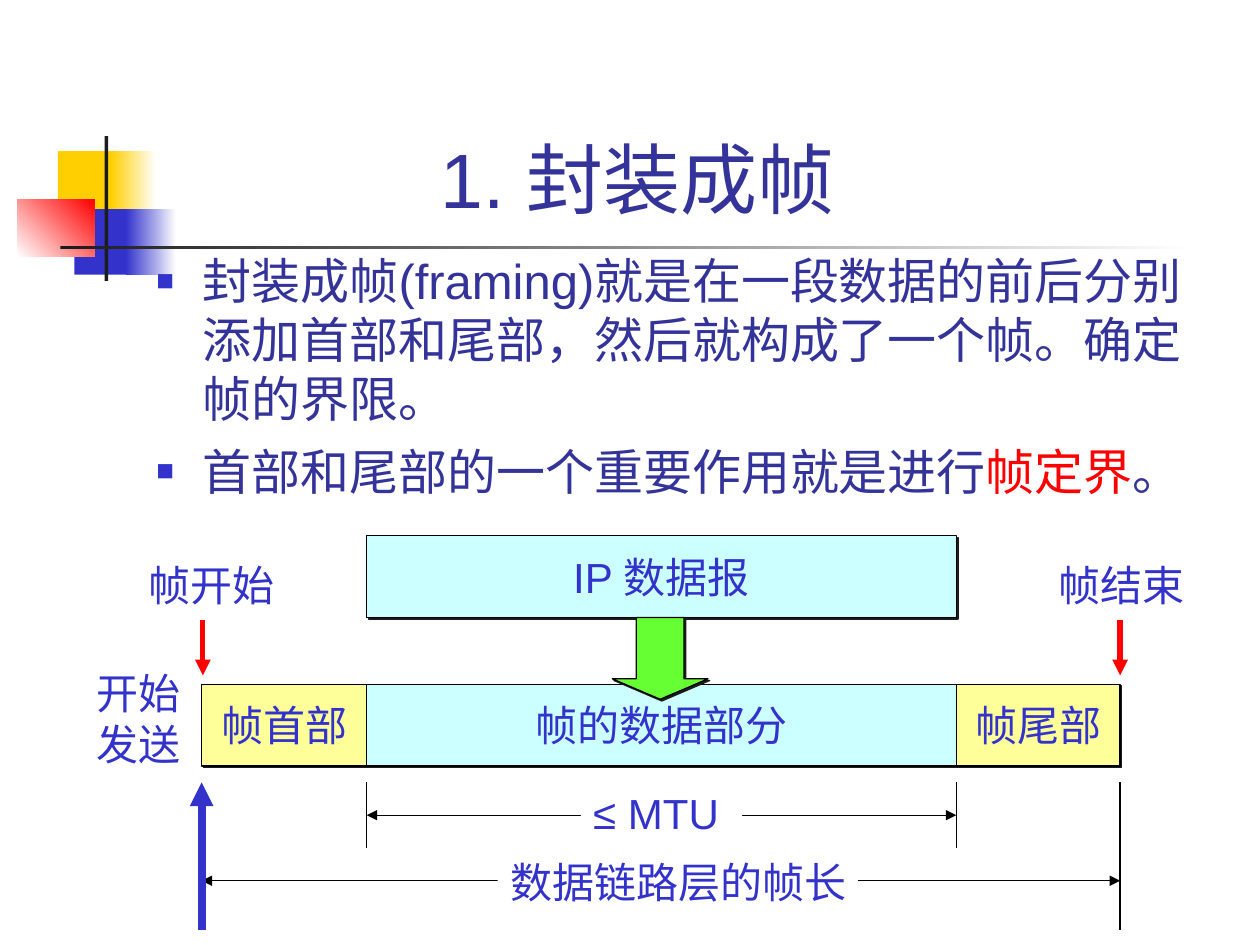
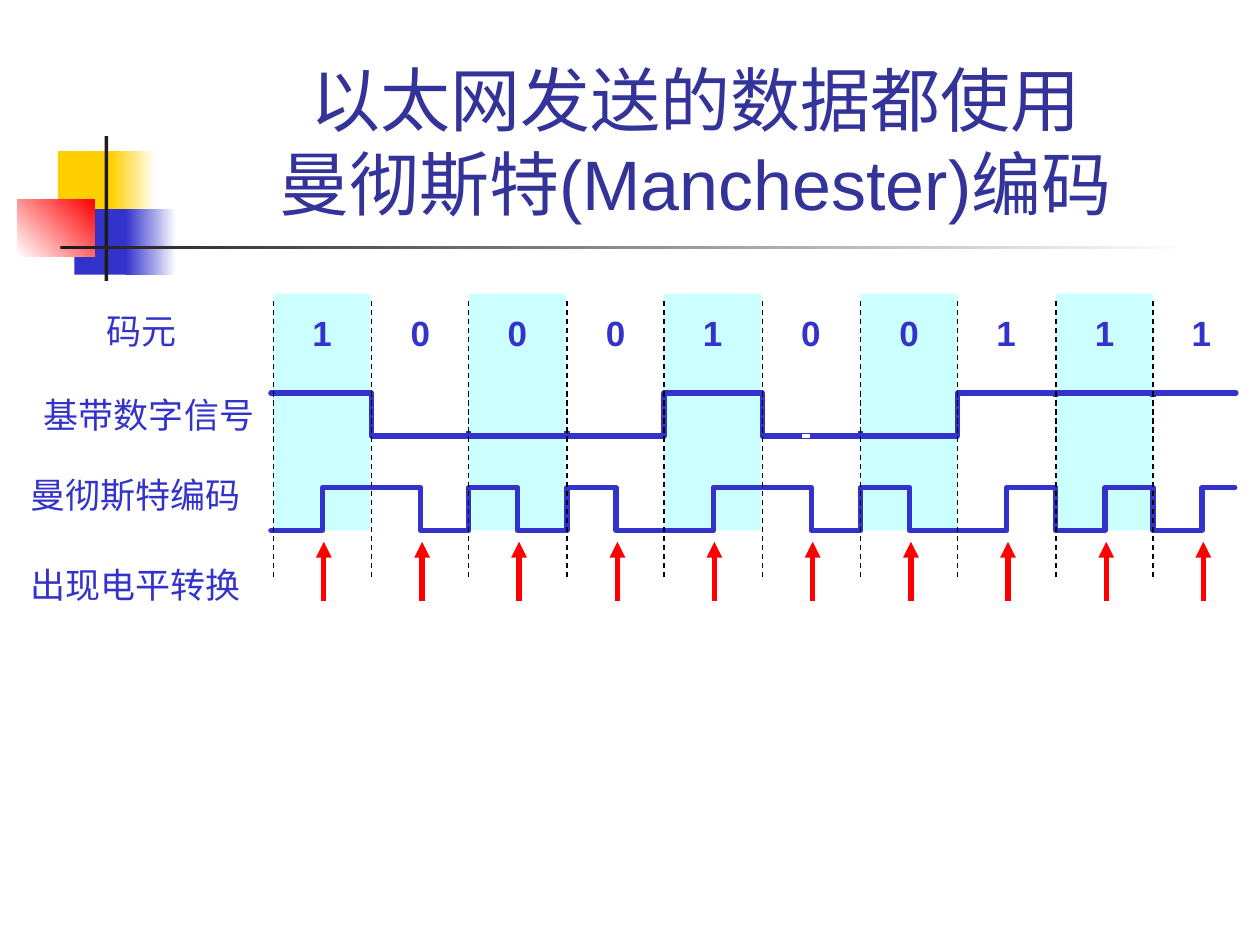
from dataclasses import dataclass
from typing import Optional

from lxml.etree import SubElement
from pptx import Presentation
from pptx.dml.color import RGBColor
from pptx.enum.dml import MSO_LINE
from pptx.enum.shapes import MSO_CONNECTOR, MSO_SHAPE
from pptx.enum.text import MSO_ANCHOR as ANCHOR, MSO_AUTO_SIZE as AUTO, PP_ALIGN as ALIGN
from pptx.oxml.ns import qn
from pptx.util import Emu, Pt

# Shared scale, font and colours
PX = 9144  # 100 px to the inch
FONT = "Arial"
NAVY, BLUE, RED, BLACK, WHITE = "333399", "3333CC", "FF0000", "000000", "FFFFFF"
GOLD, DARK, CYAN, YELLOW, GREEN = "FFCF01", "1C1C1C", "CCFFFF", "FFFF99", "66FF33"


@dataclass
class Box:
    x: int
    y: int
    w: int
    h: int
    fill: Optional[str] = None
    text: str = ""
    fade: Optional[str] = None  # second gradient colour
    angle: int = 0
    border: Optional[str] = None
    framed: bool = False  # black border, hard shadow, centred text
    kind: MSO_SHAPE = MSO_SHAPE.RECTANGLE


@dataclass
class Line:
    x1: int
    y1: int
    x2: int
    y2: int
    color: str = BLACK
    width: float = 0.75
    head: bool = False
    tail: bool = False
    dashed: bool = False


# Master decoration: coloured squares and the crossed bars
DECOR = [
    Box(46, 120, 48, 52, GOLD),
    Box(88, 120, 36, 52, GOLD, fade=WHITE),
    Box(59, 166, 46, 52, BLUE),
    Box(100, 166, 40, 52, BLUE, fade=WHITE),
    Box(14, 158, 61, 46, WHITE, fade=RED, angle=45),
    Box(83, 108, 3, 115, DARK),
    Box(48, 195, 900, 3, DARK, fade=WHITE),
]


def px(n: float) -> Emu:
    return Emu(round(n * PX))


def rgb(value: str) -> RGBColor:
    return RGBColor.from_string(value)


def set_font(font, color: str, **fmt) -> None:
    for key, value in {"name": FONT, **fmt}.items():
        setattr(font, key, value)
    font.color.rgb = rgb(color)


def set_text(tf, text: str, size: int, align=ALIGN.LEFT, anchor=ANCHOR.TOP, bold=False) -> None:
    tf.text = text
    for key, value in {"word_wrap": False, "vertical_anchor": anchor}.items():
        setattr(tf, key, value)
    for p in tf.paragraphs:
        p.alignment = align
        for r in p.runs:
            set_font(r.font, BLUE, size=Pt(size), bold=bold)


def add_shadow(sp) -> None:
    effects = sp.element.spPr.find(qn("a:effectLst"))
    shadow = SubElement(effects, qn("a:outerShdw"), dist="17780", dir="2700000",
                        algn="ctr", rotWithShape="0")
    SubElement(shadow, qn("a:srgbClr"), val=DARK)


def add_box(slide, box: Box):
    sp = slide.shapes.add_shape(box.kind, px(box.x), px(box.y), px(box.w), px(box.h))
    sp.shadow.inherit = False
    if box.fade:
        sp.fill.gradient()
        sp.fill.gradient_angle = box.angle
        for stop, color in zip(sp.fill.gradient_stops, (box.fill, box.fade)):
            stop.color.rgb = rgb(color)
    else:
        sp.fill.solid()
        sp.fill.fore_color.rgb = rgb(box.fill)
    border = BLACK if box.framed else box.border
    if border:
        sp.line.color.rgb = rgb(border)
        sp.line.width = Pt(0.75)
    else:
        sp.line.fill.background()
    if box.framed:
        add_shadow(sp)
    if box.text:
        align, anchor = (ALIGN.CENTER, ANCHOR.MIDDLE) if box.framed else (ALIGN.LEFT, ANCHOR.TOP)
        set_text(sp.text_frame, box.text, 24, align, anchor)
    return sp


def add_line(slide, line: Line) -> None:
    cn = slide.shapes.add_connector(MSO_CONNECTOR.STRAIGHT, px(line.x1), px(line.y1),
                                    px(line.x2), px(line.y2))
    cn.line.color.rgb = rgb(line.color)
    cn.line.width = Pt(line.width)
    if line.dashed:
        cn.line.dash_style = MSO_LINE.DASH
    ln = cn.line._get_or_add_ln()
    for tag, wanted in (("a:headEnd", line.head), ("a:tailEnd", line.tail)):
        if wanted:
            SubElement(ln, qn(tag), type="triangle")
    SubElement(cn.element.spPr, qn("a:effectLst"))


def add_label(slide, x: int, y: int, w: int, text: str, bold: bool = False) -> None:
    sp = slide.shapes.add_textbox(px(x), px(y), px(w), px(43))
    set_text(sp.text_frame, text, 20, bold=bold)


def add_signal(slide, points: list[tuple[int, int]]) -> None:
    start, *rest = [(px(x), px(y)) for x, y in points]
    builder = slide.shapes.build_freeform(*start)
    builder.add_line_segments(rest, close=False)
    sp = builder.convert_to_shape()
    sp.shadow.inherit = False
    sp.fill.background()
    sp.line.color.rgb = rgb(BLUE)
    sp.line.width = Pt(3)
    ln = sp.line._get_or_add_ln()
    ln.set("cap", "rnd")
    SubElement(ln, qn("a:round"))


def place(sp, x: int, y: int, w: int, h: int) -> None:
    for key, value in {"left": x, "top": y, "width": w, "height": h}.items():
        setattr(sp, key, px(value))


def set_title(slide, text: str, size: int, width: int) -> None:
    sp = slide.shapes.title
    place(sp, 126, 23, width, 160)
    tf = sp.text_frame
    tf.text = text
    for key, value in {"auto_size": AUTO.NONE, "vertical_anchor": ANCHOR.BOTTOM}.items():
        setattr(tf, key, value)
    p = tf.paragraphs[0]
    p.alignment = ALIGN.CENTER
    for r in p.runs:
        set_font(r.font, NAVY, size=Pt(size))


def set_body(slide, items: list[list[tuple[str, str]]]) -> None:
    sp = slide.placeholders[1]
    place(sp, 114, 194, 850, 450)
    tf = sp.text_frame
    tf.auto_size = AUTO.NONE
    for i, runs in enumerate(items):
        p = tf.add_paragraph() if i else tf.paragraphs[0]
        pPr = p._p.get_or_add_pPr()
        pPr.set("marL", str(px(37)))
        pPr.set("indent", str(px(-37)))
        SubElement(SubElement(pPr, qn("a:buClr")), qn("a:srgbClr"), val=BLUE)
        SubElement(pPr, qn("a:buSzPct"), val="60000")
        SubElement(pPr, qn("a:buFont"), typeface=FONT)
        SubElement(pPr, qn("a:buChar"), char="■")
        p.space_before = Pt(8 if i else 0)
        for text, color in runs:
            r = p.add_run()
            r.text = text
            set_font(r.font, color, size=Pt(28))


def decorate_master(prs, slide) -> None:
    tree = prs.slide_master.element.cSld.spTree
    for i, box in enumerate(DECOR):
        el = add_box(slide, box).element
        el.nvSpPr.cNvPr.set("id", str(20 + i))
        tree.insert(2 + i, el)


def build_framing(slide) -> None:
    set_title(slide, "1. 封装成帧", 44, 760)
    set_body(slide, [
        [("封装成帧(framing)就是在一段数据的前后分别添加首部和尾部，然后就构成了一个帧。确定帧的界限。", NAVY)],
        [("首部和尾部的一个重要作用就是进行", NAVY), ("帧定界", RED), ("。", NAVY)],
    ])
    # Frame edges: header start, data start, data end, trailer end
    start, data, data_end, end = 160, 291, 759, 889
    for box in (
        Box(start, 543, data - start, 65, YELLOW, "帧首部", framed=True),
        Box(data, 425, data_end - data, 65, CYAN, "IP 数据报", framed=True),
        Box(data, 543, data_end - data, 65, CYAN, "帧的数据部分", framed=True),
        Box(data_end, 543, end - data_end, 65, YELLOW, "帧尾部", framed=True),
    ):
        add_box(slide, box)
    # Dimension lines and boundary arrows
    for line in (
        Line(data, 647, data_end, 647, head=True, tail=True),
        Line(start, 699, end, 699, head=True, tail=True),
        Line(start, 738, start, 621, BLUE, 4.5, tail=True),
        Line(end, 621, end, 738),
        *(Line(x, 621, x, 673) for x in (data, data_end)),
        *(Line(x, 492, x, 536, RED, 3, tail=True) for x in (start + 1, end)),
    ):
        add_line(slide, line)
    # Labels and the encapsulation arrow
    for box in (
        Box(461, 620, 128, 50, WHITE, "≤ MTU"),
        Box(395, 675, 286, 50, WHITE, "数据链路层的帧长"),
        Box(67, 525, 86, 90, WHITE, "开始\n发送"),
        Box(108, 439, 120, 50, WHITE, "帧开始"),
        Box(830, 439, 120, 50, WHITE, "帧结束"),
    ):
        add_box(slide, box)
    arrow = add_box(slide, Box(486, 490, 76, 65, GREEN, framed=True, kind=MSO_SHAPE.DOWN_ARROW))
    arrow.adjustments[0], arrow.adjustments[1] = 0.5, 0.25


def build_manchester(slide) -> None:
    set_title(slide, "以太网发送的数据都使用\v曼彻斯特(Manchester)编码", 40, 852)
    for x, y, w, text in ((75, 241, 76, "码元"), (25, 307, 187, "基带数字信号"),
                          (14, 371, 187, "曼彻斯特编码"), (14, 442, 187, "出现电平转换")):
        add_label(slide, x, y, w, text)

    bits = "1000100111"
    edges = [217 + round(77.6 * i) for i in range(len(bits))]
    mids = [x + 39 for x in edges]
    for x in edges[::2]:
        add_box(slide, Box(x, 233, 77, 188, CYAN))
    for x, bit in zip(mids, bits):
        add_label(slide, x - 18, 242, 35, bit, bold=True)

    # Baseband signal: one level per bit, a tick where the level holds
    level = {"1": 312, "0": 346}
    baseband = [(215, level[bits[0]])]
    for x, before, after in zip(edges[1:], bits, bits[1:]):
        if before != after:
            baseband += [(x, level[before]), (x, level[after])]
        else:
            y = level[after]
            add_line(slide, Line(x, y, x, y + (3 if after == "1" else -4), BLUE, 3))
    add_signal(slide, baseband + [(981, level[bits[-1]])])

    # Manchester signal: 1 rises and 0 falls in mid-bit
    high, low = 387, 421
    manchester = [(215, low)]
    for edge, mid, bit in zip(edges, mids, bits):
        first, second = (low, high) if bit == "1" else (high, low)
        if manchester[-1][1] != first:
            manchester += [(edge, manchester[-1][1]), (edge, first)]
        manchester += [(mid, first), (mid, second)]
    add_signal(slide, manchester + [(980, high)])
    add_box(slide, Box(637, 345, 5, 2, WHITE, border=WHITE))

    # Bit boundaries and level transitions
    for edge, mid in zip(edges, mids):
        add_line(slide, Line(edge, 458, edge, 238, dashed=True))
        add_line(slide, Line(mid + 1, 477, mid + 1, 430, RED, 3, tail=True))


def main() -> None:
    prs = Presentation()
    prs.slide_width, prs.slide_height = px(1000), px(750)
    framing = prs.slides.add_slide(prs.slide_layouts[1])
    decorate_master(prs, framing)
    build_framing(framing)
    build_manchester(prs.slides.add_slide(prs.slide_layouts[5]))
    prs.save("out.pptx")


if __name__ == "__main__":
    main()
